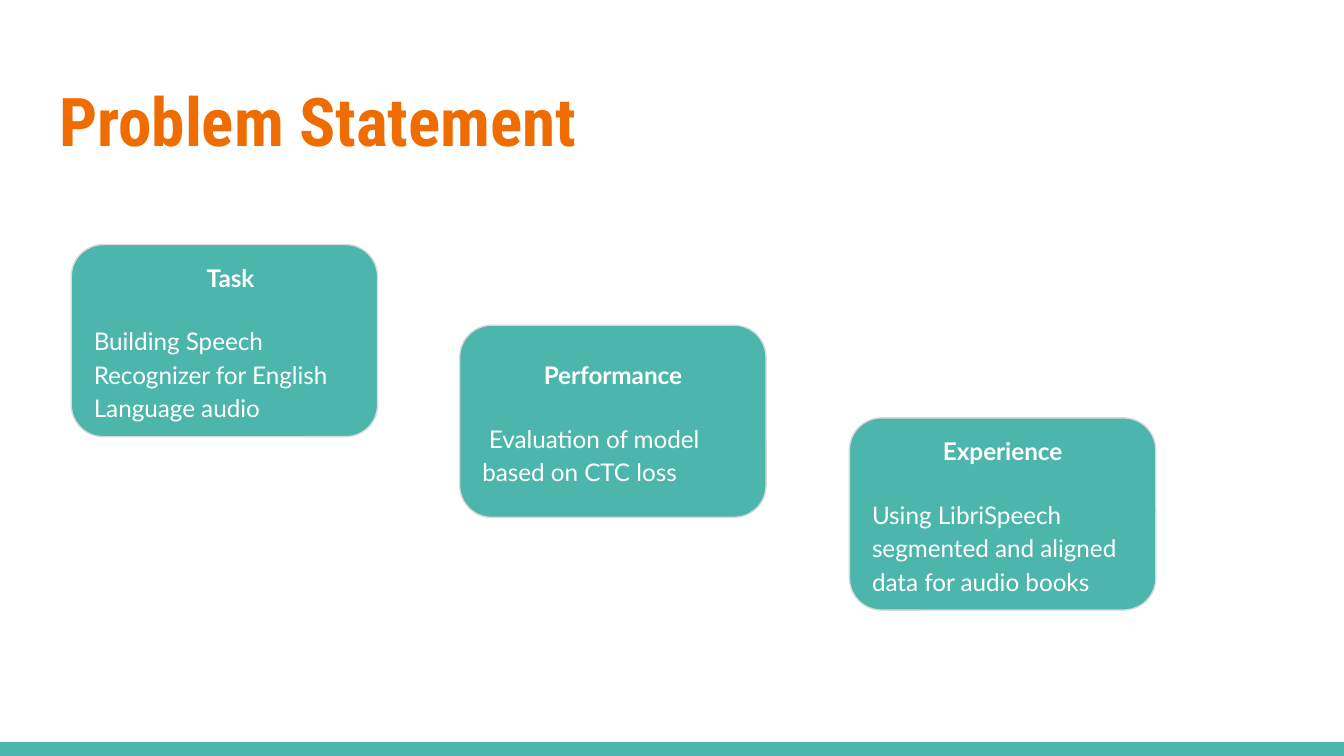
from dataclasses import dataclass

from pptx import Presentation
from pptx.dml.color import RGBColor
from pptx.enum.shapes import MSO_SHAPE
from pptx.enum.text import MSO_ANCHOR, PP_ALIGN
from pptx.util import Inches, Pt

TEAL, ORANGE, WHITE, GREY = "4DB6AC", "EF6C00", "FFFFFF", "D9D9D9"


@dataclass
class Card:
    left: float
    top: float
    heading: str
    body: str
    heading_align: PP_ALIGN = PP_ALIGN.CENTER
    heading_indent: float = 0
    body_indent: float = 0


CARDS = [
    Card(0.53, 1.82, "Task", "Building Speech Recognizer for English Language audio",
         heading_align=PP_ALIGN.LEFT, heading_indent=0.84),
    Card(3.42, 2.42, "Performance", "Evaluation of model based on CTC loss",
         body_indent=0.05),
    Card(6.32, 3.11, "Experience",
         "Using LibriSpeech segmented and aligned data for audio books"),
]


def rgb(color: str) -> RGBColor:
    return RGBColor.from_string(color)


def set_font(p, name: str, size: float, color: str, bold: bool) -> None:
    font = p.font
    font.name, font.size, font.bold = name, Pt(size), bold
    font.color.rgb = rgb(color)


def set_frame(tf, anchor: MSO_ANCHOR) -> None:
    tf.word_wrap = True
    tf.vertical_anchor = anchor
    tf.margin_left = tf.margin_right = tf.margin_top = tf.margin_bottom = Inches(0.1)


def add_box(s, kind: MSO_SHAPE, left: float, top: float, width: float, height: float):
    sp = s.shapes.add_shape(kind, Inches(left), Inches(top), Inches(width), Inches(height))
    sp.shadow.inherit = False
    sp.fill.solid()
    sp.fill.fore_color.rgb = rgb(TEAL)
    sp.line.fill.background()
    return sp


def write_line(p, text: str, align: PP_ALIGN, indent: float, bold: bool) -> None:
    p.text = text
    p.alignment = align
    p.line_spacing = 1.15
    p._p.get_or_add_pPr().set("indent", str(Inches(indent)))
    set_font(p, "Lato", 13, WHITE, bold)


def add_card(s, card: Card) -> None:
    sp = add_box(s, MSO_SHAPE.ROUNDED_RECTANGLE, card.left, card.top, 2.28, 1.43)
    sp.line.color.rgb = rgb(GREY)
    sp.line.width = Pt(0.75)
    tf = sp.text_frame
    set_frame(tf, MSO_ANCHOR.MIDDLE)
    write_line(tf.paragraphs[0], card.heading, card.heading_align, card.heading_indent, True)
    p = tf.add_paragraph()
    write_line(p, card.body, PP_ALIGN.LEFT, card.body_indent, False)
    p.space_before = p.space_after = Pt(16)


def main() -> None:
    # Widescreen page, 16:9
    prs = Presentation()
    prs.slide_width = Inches(10)
    prs.slide_height = prs.slide_width * 9 // 16
    s = prs.slides.add_slide(prs.slide_layouts[5])

    # Footer band
    add_box(s, MSO_SHAPE.RECTANGLE, 0, 5.52, 10, 0.11)

    # Title
    title = s.shapes.title
    title.left, title.top = Inches(0.34), Inches(0.49)
    title.width, title.height = Inches(9.32), Inches(0.77)
    set_frame(title.text_frame, MSO_ANCHOR.TOP)
    p = title.text_frame.paragraphs[0]
    p.text = "Problem Statement"
    p.alignment = PP_ALIGN.LEFT
    set_font(p, "Roboto Condensed", 36, ORANGE, True)

    # Staggered cards
    for card in CARDS:
        add_card(s, card)

    prs.save("out.pptx")


if __name__ == "__main__":
    main()
